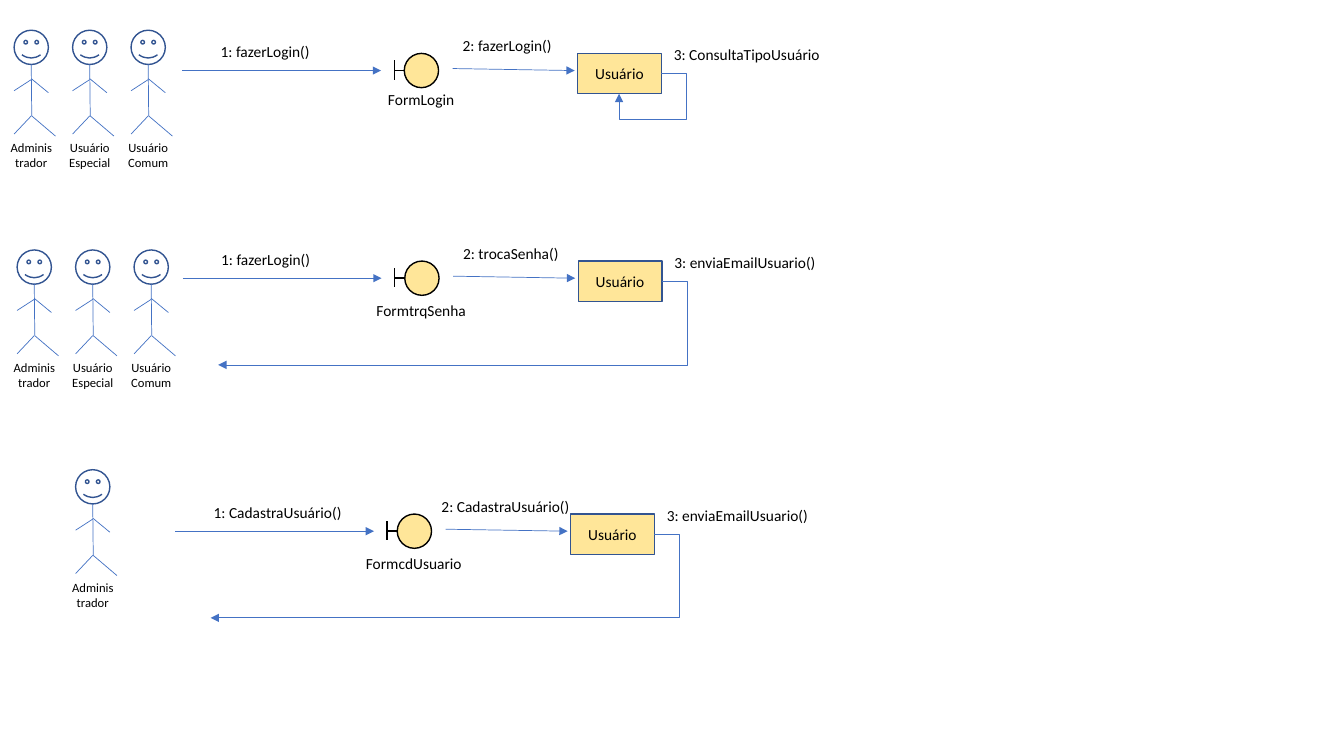
from dataclasses import dataclass

from lxml.etree import SubElement
from pptx import Presentation
from pptx.dml.color import RGBColor as Rgb
from pptx.enum.shapes import MSO_CONNECTOR as Wire, MSO_SHAPE as Form
from pptx.enum.text import MSO_ANCHOR as Anchor, MSO_AUTO_SIZE as Fit, PP_ALIGN as Align
from pptx.oxml.ns import qn
from pptx.util import Inches, Pt


@dataclass(frozen=True)
class Theme:
    """Colours, font and sizes of the diagram."""
    font: str = "Calibri"
    text: Rgb = Rgb(0, 0, 0)
    edge: Rgb = Rgb(0x32, 0x54, 0x91)
    wire: Rgb = Rgb(0x44, 0x72, 0xC4)
    fill: Rgb = Rgb(0xFF, 0xE6, 0x99)
    label: int = 11
    name: int = 9
    thin: float = 0.5
    bold: float = 1


THEME = Theme()
PITCH = 5.8  # columns from one actor to the next
LIMBS = [
    (1.7, 3.4, 1.75, 8.5),
    (1.7, 4.9, 0, 6),
    (1.7, 4.8, 3.4, 6.2),
    (1.7, 8.5, 0, 10.3),
    (1.75, 8.5, 4.1, 10.5),
]


def grid(*cells):
    """Turn grid columns and rows, ten to the inch, into lengths."""
    return [Inches(cell / 10) for cell in cells]


def write(shape, text, size, align):
    """Put styled text in a shape."""
    frame = shape.text_frame
    frame.text = text
    para = frame.paragraphs[0]
    para.alignment = align
    font = para.runs[0].font
    font.name, font.size = THEME.font, Pt(size)
    font.color.rgb = THEME.text


def label(shapes, x, y, wide, text, size=THEME.label, wrap=False):
    """Add a message label, or a wrapped and centred name."""
    box = shapes.add_textbox(*grid(x, y, wide, 4 if wrap else 2.9))
    frame = box.text_frame
    frame.word_wrap = wrap
    frame.auto_size = Fit.SHAPE_TO_FIT_TEXT
    write(box, text, size, Align.CENTER if wrap else Align.LEFT)


def block(shapes, form, x, y, wide, high, edge, fill=None):
    """Add an outlined preset shape."""
    shape = shapes.add_shape(form, *grid(x, y, wide, high))
    shape.shadow.inherit = False
    if fill:
        shape.fill.solid()
        shape.fill.fore_color.rgb = fill
    else:
        shape.fill.background()
    shape.line.color.rgb = edge
    shape.line.width = Pt(THEME.bold)
    return shape


def line(shapes, ends, color=THEME.wire, width=THEME.thin, arrow=False, kind=Wire.STRAIGHT):
    """Add a connector, with an arrowhead if asked."""
    wire = shapes.add_connector(kind, *grid(*ends))
    wire.line.color.rgb = color
    wire.line.width = Pt(width)
    if arrow:
        SubElement(wire.line._get_or_add_ln(), qn("a:tailEnd"), type="triangle")
    SubElement(wire.element.spPr, qn("a:effectLst"))
    return wire


def bend(shapes, ends, *turns):
    """Add an elbow arrow whose turns are shares of its extent."""
    wire = line(shapes, ends, arrow=True, kind=Wire.ELBOW)
    geom = wire.element.spPr.find(qn("a:prstGeom"))
    geom.set("prst", f"bentConnector{len(turns) + 2}")
    for num, turn in enumerate(turns, 1):
        name = f"adj{num}"
        SubElement(geom.find(qn("a:avLst")), qn("a:gd"), name=name,
                   fmla=f"val {round(turn * 100000)}")


def actor(shapes, x, y, name):
    """Add a grouped stick figure with its name."""
    parts = shapes.add_group_shape().shapes
    block(parts, Form.SMILEY_FACE, x, y, 3.4, 3.4, THEME.edge)
    for left, top, right, low in LIMBS:
        line(parts, (x + left, y + top, x + right, y + low))
    label(parts, x - 1.5, y + 10.4, 6.4, name, THEME.name, wrap=True)


def border(shapes, x, y, name, wide, drop):
    """Add a boundary symbol, with its name centred below."""
    block(shapes, Form.OVAL, x + 1, y - 1.7, 3.4, 3.4, THEME.text, THEME.fill)
    for ends in [(x + 1, y, x, y), (x, y - 1, x, y + 0.9)]:
        line(shapes, ends, THEME.text, THEME.bold)
    label(shapes, x + 2.7 - wide / 2, y + drop, wide, name)


def flow(shapes, x, y, first, form, second, third, loop=False):
    """Add one row of messages from actor to form to entity."""
    line(shapes, (x, y, x + 19.7, y), arrow=True)
    label(shapes, x + 2.8, y - 3.3, *first)
    border(shapes, x + 21, y, *form)
    line(shapes, (x + 26.8, y - 0.2, x + 38.9, y), arrow=True)
    shift, *note = second
    label(shapes, x + shift, y - 3.9, *note)
    user = block(shapes, Form.RECTANGLE, x + 39.2, y - 1.7, 8.3, 4, THEME.edge, THEME.fill)
    user.text_frame.vertical_anchor = Anchor.MIDDLE
    write(user, "Usuário", THEME.label, Align.CENTER)
    start = (x + 47.5, y + 0.3)
    if loop:
        bend(shapes, (*start, x + 43.3, y + 2.3), -0.6, 2.25)
    else:
        bend(shapes, (*start, x + 3.5, y + 8.6), -0.057)
    label(shapes, x + 47.75, y - 3, *third)


def main():
    """Build the slide and save it."""
    deck = Presentation()
    deck.slide_width, deck.slide_height = Inches(13.33), Inches(7.5)
    shapes = deck.slides.add_slide(deck.slide_layouts[6]).shapes

    admin, *users = names = ["Administrador", "Usuário Especial", "Usuário Comum"]
    for x, y, cast in [(1.4, 3, names), (1.7, 24.8, names), (7.5, 46.6, [admin])]:
        for num, name in enumerate(cast):
            actor(shapes, x + num * PITCH, y, name)

    login = (11, "1: fazerLogin()")
    email = (16.1, "3: enviaEmailUsuario()")
    flow(shapes, 18.1, 7, login, ("FormLogin", 8.6, 1.4),
         (26.8, 11, "2: fazerLogin()"), (16.6, "3: ConsultaTipoUsuário"), loop=True)
    flow(shapes, 18.15, 27.6, login, ("FormtrqSenha", 11, 1.8),
         (26.8, 11.6, "2: trocaSenha()"), email)
    flow(shapes, 17.4, 52.7, (14.8, "1: CadastraUsuário()"), ("FormcdUsuario", 11.6, 1.8),
         (25.4, 14.8, "2: CadastraUsuário()"), email)
    deck.save("out.pptx")


main()
